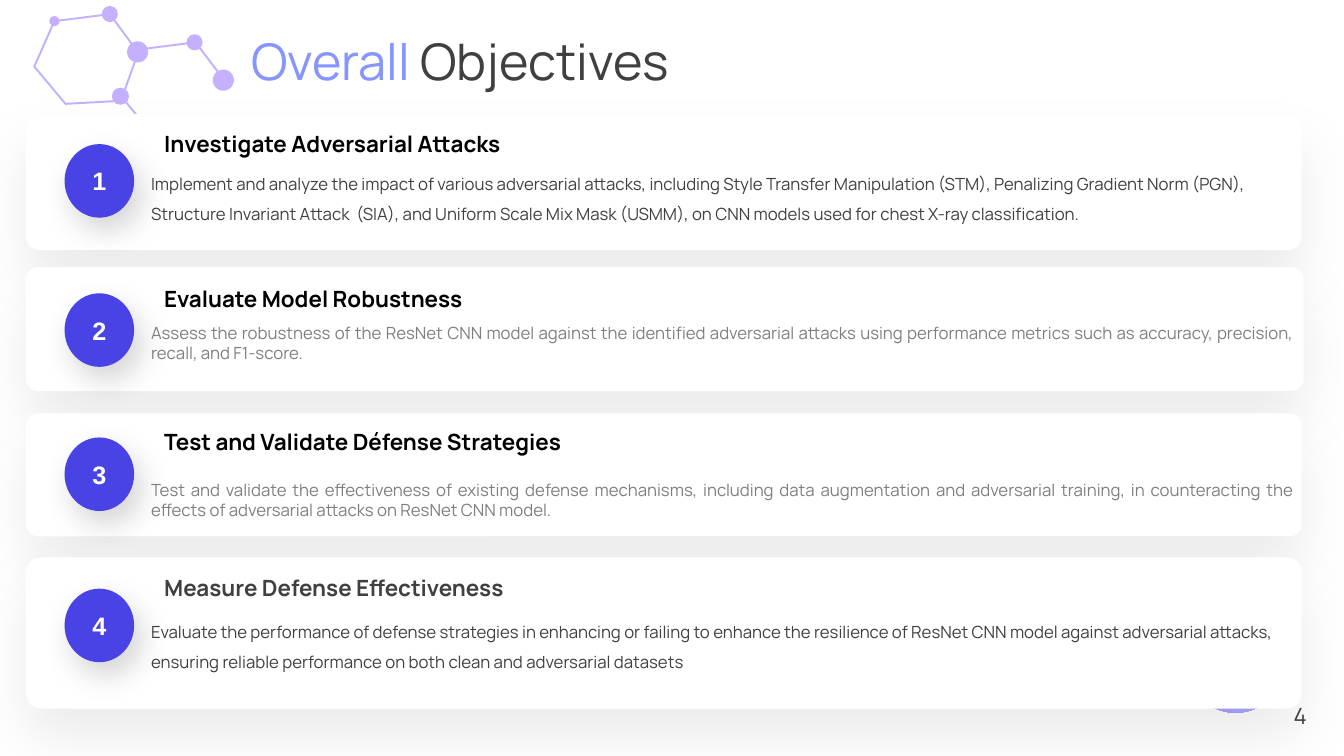
from dataclasses import dataclass

from lxml import etree
from pptx import Presentation
from pptx.dml.color import RGBColor
from pptx.enum.shapes import MSO_CONNECTOR, MSO_SHAPE
from pptx.enum.text import MSO_ANCHOR, MSO_AUTO_SIZE, PP_ALIGN
from pptx.oxml.ns import qn
from pptx.util import Emu, Pt

PX = 9144  # EMU per px, 100 px to the inch
FONT = "Manrope"
WHITE = RGBColor(0xFF, 0xFF, 0xFF)
BLACK = RGBColor(0x00, 0x00, 0x00)
DARK = RGBColor(0x40, 0x40, 0x40)
GRAY = RGBColor(0x7F, 0x7F, 0x7F)
INDIGO = RGBColor(0x49, 0x42, 0xE4)
PERIWINKLE = RGBColor(0x86, 0x96, 0xFE)
LILAC = RGBColor(0xC4, 0xB0, 0xFF)


@dataclass
class Objective:
    box: tuple  # left, top, width, height of the card
    badge_dy: int
    heading_dy: int
    detail_dy: int
    heading: str
    detail: str
    heading_color: RGBColor = BLACK
    detail_color: RGBColor = DARK
    align: PP_ALIGN = PP_ALIGN.LEFT
    spacing: float = 1.5


OBJECTIVES = [
    Objective((26, 113, 1265, 135), 30, 11, 44, "Investigate Adversarial Attacks",
              "Implement and analyze the impact of various adversarial attacks, including "
              "Style Transfer Manipulation (STM), Penalizing Gradient Norm (PGN), Structure "
              "Invariant Attack  (SIA), and Uniform Scale Mix Mask (USMM), on CNN models "
              "used for chest X-ray classification."),
    Objective((26, 265, 1267, 123), 26, 13, 50, "Evaluate Model Robustness",
              "Assess the robustness of the ResNet CNN model against the identified "
              "adversarial attacks using performance metrics such as accuracy, precision, "
              "recall, and F1-score.",
              detail_color=GRAY, align=PP_ALIGN.JUSTIFY, spacing=1.0),
    Objective((26, 410, 1265, 122), 24, 10, 61, "Test and Validate Défense Strategies",
              "Test and validate the effectiveness of existing defense mechanisms, including "
              "data augmentation and adversarial training, in counteracting the effects of "
              "adversarial attacks on ResNet CNN model.",
              detail_color=GRAY, align=PP_ALIGN.JUSTIFY, spacing=1.0),
    Objective((26, 553, 1265, 150), 31, 12, 49, "Measure Defense Effectiveness",
              "Evaluate the performance of defense strategies in enhancing or failing to "
              "enhance the resilience of ResNet CNN model against adversarial attacks, "
              "ensuring reliable performance on both clean and adversarial datasets",
              heading_color=DARK),
]


def emu(*lengths):
    return [Emu(length * PX) for length in lengths]


def add_run(paragraph, text, size, color, bold=False, font=FONT):
    run = paragraph.add_run()
    run.text = text
    run.font.name = font
    run.font.size = Pt(size)
    run.font.bold = bold
    run.font.color.rgb = color


def add_plain_shape(slide, preset, box, color):
    shape = slide.shapes.add_shape(preset, *emu(*box))
    shape.shadow.inherit = False
    shape.fill.solid()
    shape.fill.fore_color.rgb = color
    shape.line.fill.background()
    return shape


def cast_shadow(shape, opacity, blur, distance):
    """Black shadow falling straight down or, for badges, to the lower right."""
    effects = shape._element.spPr.find(qn("a:effectLst"))
    direction = 90 if blur == 40 else 62
    shadow = etree.SubElement(effects, qn("a:outerShdw"), blurRad=str(Pt(blur)),
                              dist=str(Pt(distance)), dir=str(direction * 60000),
                              algn="t", rotWithShape="0")
    color = etree.SubElement(shadow, qn("a:srgbClr"), val=str(BLACK))
    etree.SubElement(color, qn("a:alpha"), val=str(opacity * 1000))


def add_text(slide, box, text, size, color, bold=False, align=PP_ALIGN.LEFT, spacing=None):
    frame = slide.shapes.add_textbox(*emu(*box)).text_frame
    frame.word_wrap = True
    frame.auto_size = MSO_AUTO_SIZE.SHAPE_TO_FIT_TEXT
    paragraph = frame.paragraphs[0]
    paragraph.alignment = align
    paragraph.line_spacing = spacing
    add_run(paragraph, text, size, color, bold)
    return frame


def add_title(slide, box):
    title = slide.shapes.title
    title.left, title.top, title.width, title.height = emu(*box)
    frame = title.text_frame
    frame.word_wrap = True
    frame.auto_size = MSO_AUTO_SIZE.SHAPE_TO_FIT_TEXT
    frame.vertical_anchor = MSO_ANCHOR.TOP
    paragraph = frame.paragraphs[0]
    paragraph.alignment = PP_ALIGN.LEFT
    add_run(paragraph, "Overall ", 36, PERIWINKLE)
    add_run(paragraph, "Objectives", 36, DARK)


def add_molecule(slide, left, top):
    # Bonds: ring, side chain and the stub running under the first card
    ring = [(76, 8), (21, 15), (1, 60), (32, 97), (87, 94), (104, 46)]
    chain = [(106, 43), (161, 36), (189, 73)]
    for points, closed in ((ring, True), (chain, False)):
        placed = [(left + x, top + y) for x, y in points]
        builder = slide.shapes.build_freeform(*placed[0], scale=PX)
        builder.add_line_segments(placed[1:], close=closed)
        bonds = builder.convert_to_shape()
        bonds.shadow.inherit = False
        bonds.fill.background()
        bonds.line.color.rgb = LILAC
        bonds.line.width = Pt(1.4)
    stub = slide.shapes.add_connector(
        MSO_CONNECTOR.STRAIGHT, *emu(left + 86, top + 88, left + 117, top + 126))
    stub.line.color.rgb = LILAC
    stub.line.width = Pt(1.4)
    etree.SubElement(stub._element.spPr, qn("a:effectLst"))
    # Atoms: left, top, diameter
    for x, y, size in ((152, 28, 16), (178, 63, 21), (78, 81, 17),
                       (16, 10, 10), (68, 0, 16), (93, 35, 21)):
        add_plain_shape(slide, MSO_SHAPE.OVAL, (left + x, top + y, size, size), LILAC)


def add_corner_ball(slide, box):
    ball = add_plain_shape(slide, MSO_SHAPE.OVAL, box, LILAC)
    ball.rotation = 215.2
    ball.fill.gradient()
    ball.fill.gradient_angle = 170
    stops = ball.fill.gradient_stops
    for stop, color, position in zip(stops, (PERIWINKLE, LILAC), (0.2, 1.0)):
        stop.color.rgb = color
        stop.position = position


def add_objective(slide, number, objective):
    left, top, _, _ = objective.box
    card = add_plain_shape(slide, MSO_SHAPE.ROUNDED_RECTANGLE, objective.box, WHITE)
    card.adjustments[0] = 0.095
    cast_shadow(card, 7, 40, 20)

    badge = add_plain_shape(slide, MSO_SHAPE.OVAL,
                            (left + 38, top + objective.badge_dy, 69, 73), INDIGO)
    cast_shadow(badge, 16, 22.2, 10.6)
    badge.text_frame.vertical_anchor = MSO_ANCHOR.MIDDLE
    label = badge.text_frame.paragraphs[0]
    label.alignment = PP_ALIGN.CENTER
    add_run(label, str(number), 18, WHITE, bold=True, font="Arial")

    add_text(slide, (left + 127, top + objective.heading_dy, 521, 37),
             objective.heading, 16, objective.heading_color, bold=True)
    add_text(slide, (left + 114, top + objective.detail_dy, 1154, 50 if objective.spacing == 1 else 98),
             objective.detail, 12, objective.detail_color,
             align=objective.align, spacing=objective.spacing)


def add_page_number(slide, box):
    frame = add_text(slide, box, "4", 16, DARK, align=PP_ALIGN.RIGHT)
    frame.auto_size = MSO_AUTO_SIZE.NONE
    frame.vertical_anchor = MSO_ANCHOR.MIDDLE


def main():
    deck = Presentation()
    deck.slide_width, deck.slide_height = emu(1333, 750)
    slide = deck.slides.add_slide(deck.slide_layouts[5])
    add_page_number(slide, (1006, 690, 300, 40))
    add_corner_ball(slide, (1176, 608, 99, 99))
    add_molecule(slide, 33, 6)
    add_title(slide, (239, 25, 711, 71))
    for number, objective in enumerate(OBJECTIVES, start=1):
        add_objective(slide, number, objective)
    deck.save("out.pptx")


if __name__ == "__main__":
    main()
